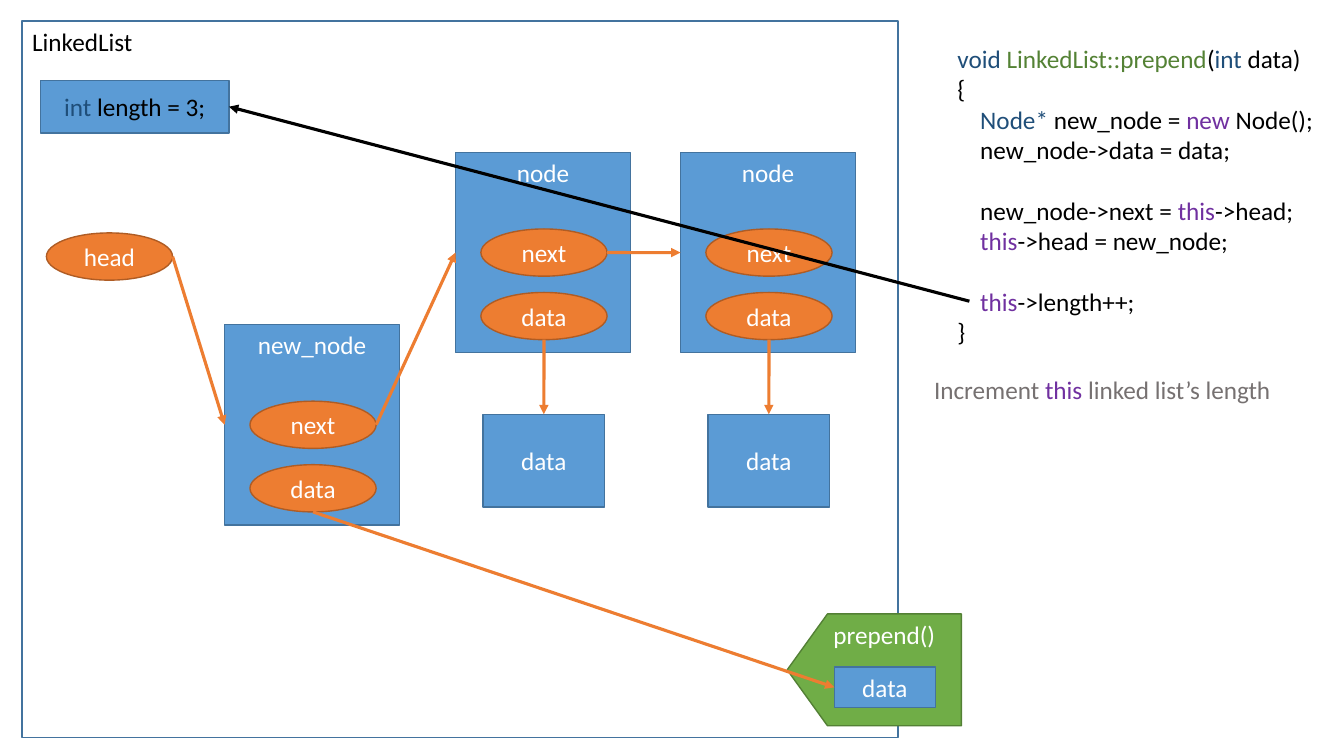
from pptx import Presentation
from pptx.dml.color import RGBColor
from pptx.enum.shapes import MSO_CONNECTOR, MSO_SHAPE as SHAPE
from pptx.enum.text import MSO_ANCHOR as ANCHOR, MSO_AUTO_SIZE as FIT, PP_ALIGN as ALIGN
from pptx.oxml.ns import qn
from pptx.util import Cm, Pt
from lxml.etree import SubElement

BLACK, WHITE, GREY = "000000", "FFFFFF", "767171"
NAVY, PURPLE, LEAF = "1F4E79", "7030A0", "548235"
BLUE, ORANGE, GREEN = "5B9BD5", "ED7D31", "70AD47"
EDGES = {BLUE: "43739E", ORANGE: "AF5C24", GREEN: "538035"}
OVAL_W, OVAL_H = 3.18, 1.19
NODE_W, NODE_H = 4.41, 5.05

THIS = ("this", PURPLE)
CODE = [
    [("void ", NAVY), ("LinkedList::prepend", LEAF), ("(", BLACK),
     ("int", NAVY), (" data)", BLACK)],
    [("{", BLACK)],
    [("    ", BLACK), ("Node* ", NAVY), ("new_node = ", BLACK),
     ("new", PURPLE), (" Node();", BLACK)],
    [("    new_node->data = data;", BLACK)],
    [("    new_node->next = ", BLACK), THIS, ("->head;", BLACK)],
    [("    ", BLACK), THIS, ("->head = new_node;", BLACK)],
    [("    ", BLACK), THIS, ("->length++;", BLACK)],
    [("}", BLACK)],
]
STATEMENT_STARTS = (4, 6)
NOTE = [("Increment ", GREY), THIS, (" linked list’s length", GREY)]


def rgb(value):
    return RGBColor.from_string(value)


def add_runs(p, runs):
    for text, color in runs:
        r = p.add_run()
        r.text = text
        r.font.name = "Calibri"
        r.font.size = Pt(18)
        r.font.color.rgb = rgb(color)


def add_box(slide, kind, x, y, w, h, runs, fill=BLUE, anchor=ANCHOR.MIDDLE,
            align=ALIGN.CENTER):
    s = slide.shapes.add_shape(kind, Cm(x), Cm(y), Cm(w), Cm(h))
    s.shadow.inherit = False
    if fill:
        s.fill.solid()
        s.fill.fore_color.rgb = rgb(fill)
    else:
        s.fill.background()
    s.line.color.rgb = rgb(EDGES[fill or BLUE])
    s.line.width = Pt(1)
    tf = s.text_frame
    tf.word_wrap = True
    tf.vertical_anchor = anchor
    p = tf.paragraphs[0]
    p.alignment = align
    add_runs(p, runs)
    return s


def add_oval(slide, x, y, text):
    return add_box(slide, SHAPE.OVAL, x, y, OVAL_W, OVAL_H, [(text, WHITE)], ORANGE)


def add_node(slide, x, y, name):
    node = add_box(slide, SHAPE.RECTANGLE, x, y, NODE_W, NODE_H, [(name, WHITE)],
                   anchor=ANCHOR.TOP)
    data = add_oval(slide, x + 0.64, y + 3.53, "data")
    link = add_oval(slide, x + 0.64, y + 1.93, "next")
    return node, link, data


def add_data(slide, x, y, w, h):
    return add_box(slide, SHAPE.RECTANGLE, x, y, w, h, [("data", WHITE)])


def add_text(slide, x, y, w, h, lines, spaced=()):
    tf = slide.shapes.add_textbox(Cm(x), Cm(y), Cm(w), Cm(h)).text_frame
    tf.word_wrap = False
    tf.auto_size = FIT.SHAPE_TO_FIT_TEXT
    for i, runs in enumerate(lines):
        p = tf.add_paragraph() if i else tf.paragraphs[0]
        if i in spaced:
            p.space_before = Pt(22)
        add_runs(p, runs)


def left(s):
    return s.left, s.top + s.height // 2


def right(s):
    return s.left + s.width, s.top + s.height // 2


def top(s):
    return s.left + s.width // 2, s.top


def bottom(s):
    return s.left + s.width // 2, s.top + s.height


def add_arrow(slide, start, end, color=ORANGE):
    s = slide.shapes.add_connector(MSO_CONNECTOR.STRAIGHT, *start, *end)
    s.line.color.rgb = rgb(color)
    s.line.width = Pt(2.25)
    SubElement(s.line._get_or_add_ln(), qn("a:tailEnd"), type="triangle")
    SubElement(s._element.spPr, qn("a:effectLst"))


def main():
    prs = Presentation()
    prs.slide_width, prs.slide_height = Cm(33.87), Cm(19.05)
    slide = prs.slides.add_slide(prs.slide_layouts[6])

    add_box(slide, SHAPE.RECTANGLE, 0.56, 0.53, 22.07, 18.06,
            [("LinkedList", BLACK)], None, ANCHOR.TOP, ALIGN.LEFT)
    add_text(slide, 23.88, 0.97, 9.6, 7.95, CODE, STATEMENT_STARTS)

    nodes = []
    for x in (11.48, 17.15):
        node, link, data = add_node(slide, x, 3.84, "node")
        value = add_data(slide, x + 0.69, 10.44, 3.07, 2.34)
        add_arrow(slide, bottom(data), top(value))
        nodes.append((node, link))
    (first, first_next), (second, _) = nodes
    add_arrow(slide, right(first_next), left(second))

    head = add_oval(slide, 1.17, 5.87, "head")
    new_node, new_next, new_data = add_node(slide, 5.66, 8.18, "new_node")
    add_arrow(slide, right(head), left(new_node))
    add_arrow(slide, right(new_next), left(first))

    length = add_box(slide, SHAPE.RECTANGLE, 1.02, 2.03, 4.75, 1.32,
                     [("int", NAVY), (" length = 3;", BLACK)])
    add_arrow(slide, (Cm(24.43), Cm(7.59)), right(length), BLACK)
    add_text(slide, 23.29, 9.3, 9.25, 1.02, [NOTE])

    call = add_box(slide, SHAPE.PENTAGON, 19.84, 15.47, 4.39, 2.82,
                   [("prepend()", WHITE)], GREEN, ANCHOR.TOP)
    call.adjustments[0] = 0.36
    call._element.spPr.xfrm.set("flipH", "1")
    argument = add_data(slide, 21.03, 16.81, 2.54, 1.02)
    add_arrow(slide, bottom(new_data), left(argument))

    prs.save("out.pptx")


if __name__ == "__main__":
    main()
